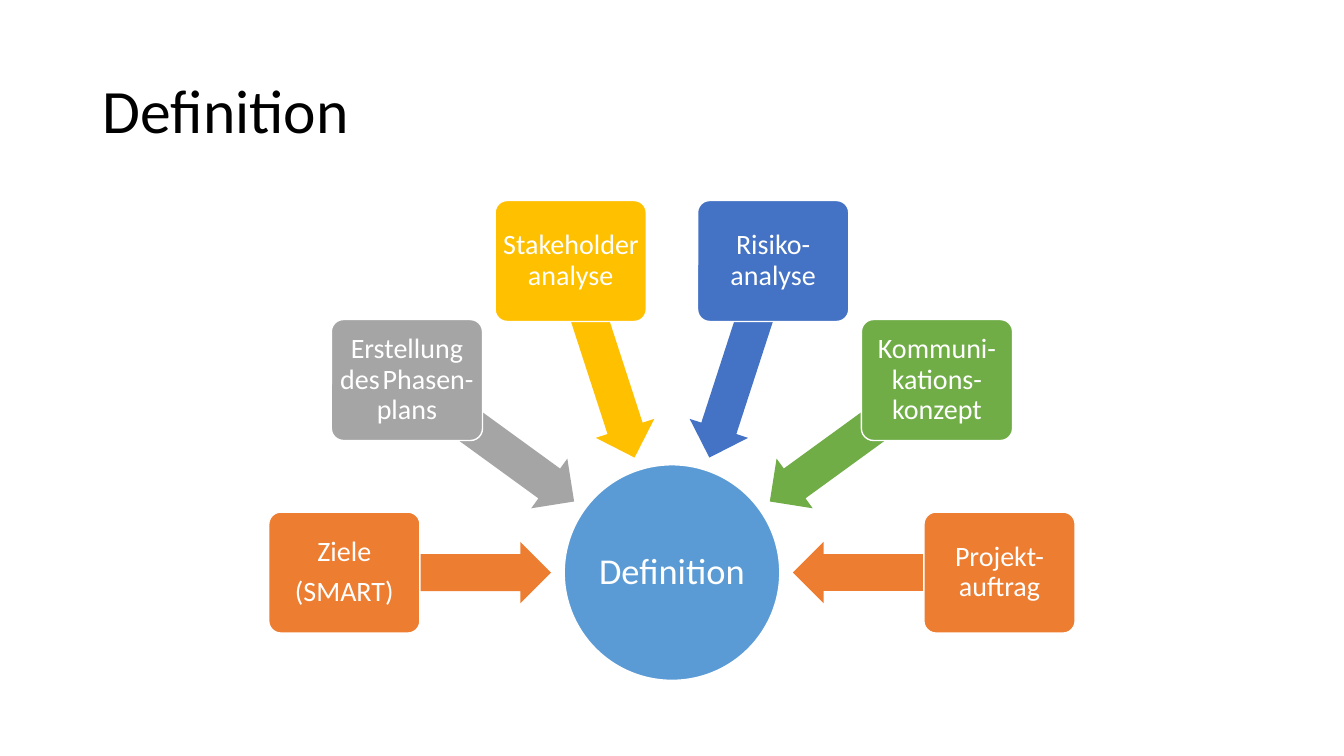
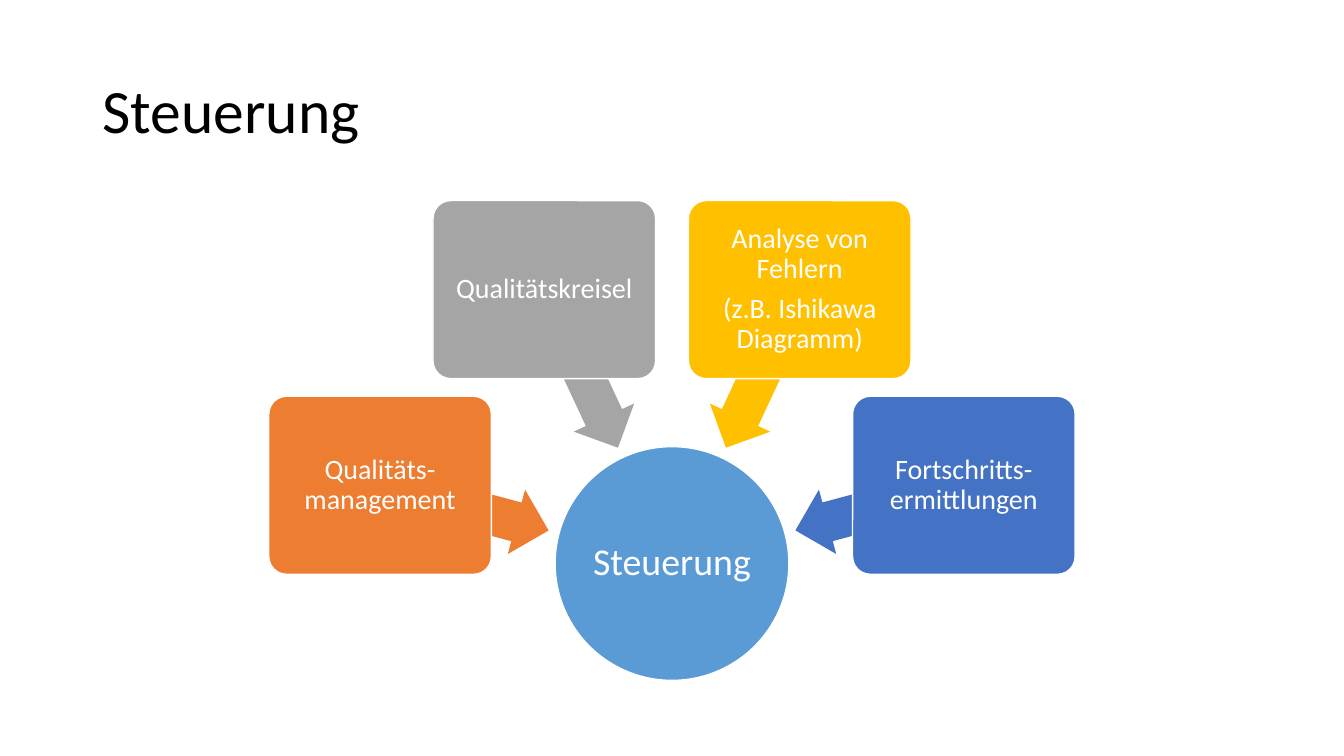
from dataclasses import dataclass
from itertools import cycle
from math import cos, radians, sin

from pptx import Presentation
from pptx.dml.color import RGBColor
from pptx.enum.shapes import MSO_SHAPE
from pptx.enum.text import MSO_ANCHOR, PP_ALIGN
from pptx.util import Pt

ELLIPSE = MSO_SHAPE.OVAL
ROUNDED = MSO_SHAPE.ROUNDED_RECTANGLE
LEFT_ARROW = MSO_SHAPE.LEFT_ARROW
MIDDLE = MSO_ANCHOR.MIDDLE
LEFT = PP_ALIGN.LEFT
CENTER = PP_ALIGN.CENTER
TITLE_ONLY = 5


@dataclass(frozen=True)
class Theme:
    """Colours and type sizes of the deck."""
    font: str = "Calibri"
    ink: str = "000000"
    paper: str = "FFFFFF"
    hub: str = "5B9BD5"
    accents: tuple = ("ED7D31", "A5A5A5", "FFC000", "4472C4", "70AD47")
    title_size: int = 44
    label_size: int = 20
    narrow_gap_size: int = 9


@dataclass(frozen=True)
class Box:
    """A rectangle in points."""
    left: float
    top: float
    width: float
    height: float

    @property
    def lengths(self):
        """Return the four sides as lengths."""
        return [Pt(round(side, 2)) for side in (self.left, self.top, self.width, self.height)]


@dataclass(frozen=True)
class Radial:
    """Content and measures of one radial diagram."""
    title: str
    hub_size: float
    hub_text_size: int
    label_width: float
    arrow_length: float
    first_angle: float
    labels: tuple


THEME = Theme()
TITLE_BOX = Box(66, 28.8, 828, 104.4)
DIAGRAM_BOX = Box(192, 144, 576, 342)
NARROW_GAP = (" ", THEME.narrow_gap_size)

DIAGRAMS = (
    Radial("Definition", 154, 26, 108, 147.6, 0, (
        ("Ziele", "(SMART)"),
        ((("Erstellung", THEME.label_size), NARROW_GAP, ("des", THEME.label_size),
          NARROW_GAP, ("Phasen-plans", THEME.label_size)),),
        ("Stakeholderanalyse",),
        ("Risiko-analyse",),
        ("Kommuni-kations-konzept",),
        ("Projekt-auftrag",),
    )),
    Radial("Steuerung", 167, 27, 159, 124.6, 15, (
        ("Qualitäts- management",),
        ("Qualitätskreisel",),
        ("Analyse von Fehlern", "(z.B. Ishikawa Diagramm)"),
        ("Fortschritts-ermittlungen",),
    )),
)


def write_text(frame, paragraphs, *, size, color, align=CENTER, inset=None):
    """Fill a text frame with paragraphs, each a string or (text, size) spans."""
    frame.word_wrap = True
    frame.vertical_anchor = MIDDLE
    if inset is not None:
        frame.margin_left = frame.margin_right = Pt(inset)
        frame.margin_top = frame.margin_bottom = Pt(inset)
    for index, content in enumerate(paragraphs):
        para = frame.add_paragraph() if index else frame.paragraphs[0]
        para.alignment = align
        para.line_spacing = 0.9
        if index < len(paragraphs) - 1:
            para.space_after = Pt(0.35 * size)
        spans = ((content, size),) if isinstance(content, str) else content
        for text, span_size in spans:
            span = para.add_run()
            span.text = text
            span.font.name = THEME.font
            span.font.size = Pt(span_size)
            span.font.color.rgb = RGBColor.from_string(color)


def add_filled(page, kind, box, color, *, outlined=True):
    """Add a flat preset shape, optionally with a thin outline."""
    shape = page.shapes.add_shape(kind, *box.lengths)
    shape.shadow.inherit = False
    shape.fill.solid()
    shape.fill.fore_color.rgb = RGBColor.from_string(color)
    if outlined:
        shape.line.color.rgb = RGBColor.from_string(THEME.paper)
        shape.line.width = Pt(1)
    else:
        shape.line.fill.background()
    return shape


def box_around(center, distance, angle, width, height):
    """Return a box whose middle lies at a polar offset from a center."""
    x = center[0] + distance * cos(radians(angle))
    y = center[1] + distance * sin(radians(angle))
    return Box(x - width / 2, y - height / 2, width, height)


def add_diagram(page, box, radial):
    """Place a hub at the bottom of the box and fan labels and arrows over it."""
    hub_size = radial.hub_size
    center = (box.left + box.width / 2, box.top + box.height - hub_size / 2)
    hub = add_filled(page, ELLIPSE, box_around(center, 0, 0, hub_size, hub_size), THEME.hub)
    write_text(hub.text_frame, (radial.title,), size=radial.hub_text_size,
               color=THEME.paper, inset=1.5)

    reach = (box.width - radial.label_width) / 2 / cos(radians(radial.first_angle))
    step = (180 - 2 * radial.first_angle) / (len(radial.labels) - 1)
    for index, (label, color) in enumerate(zip(radial.labels, cycle(THEME.accents))):
        angle = 180 + radial.first_angle + index * step
        arrow_box = box_around(center, reach - radial.arrow_length / 2, angle,
                               radial.arrow_length, 0.285 * hub_size)
        arrow = add_filled(page, LEFT_ARROW, arrow_box, color, outlined=False)
        arrow.adjustments[0] = 0.6
        arrow.adjustments[1] = 0.5
        arrow.rotation = angle % 360
        label_box = box_around(center, reach, angle, radial.label_width,
                               0.8 * radial.label_width)
        card = add_filled(page, ROUNDED, label_box, color)
        card.adjustments[0] = 0.1
        write_text(card.text_frame, label, size=THEME.label_size,
                   color=THEME.paper, inset=2.8)


def add_radial_page(deck, radial):
    """Add a page with a title and a radial diagram."""
    page = deck.slides.add_slide(deck.slide_layouts[TITLE_ONLY])
    title = page.shapes.title
    title.left, title.top, title.width, title.height = TITLE_BOX.lengths
    write_text(title.text_frame, (radial.title,), size=THEME.title_size,
               color=THEME.ink, align=LEFT)
    add_diagram(page, DIAGRAM_BOX, radial)


def main():
    """Build and save the deck."""
    deck = Presentation()
    deck.slide_width, deck.slide_height = Pt(960), Pt(540)
    for radial in DIAGRAMS:
        add_radial_page(deck, radial)
    deck.save("out.pptx")


if __name__ == "__main__":
    main()
